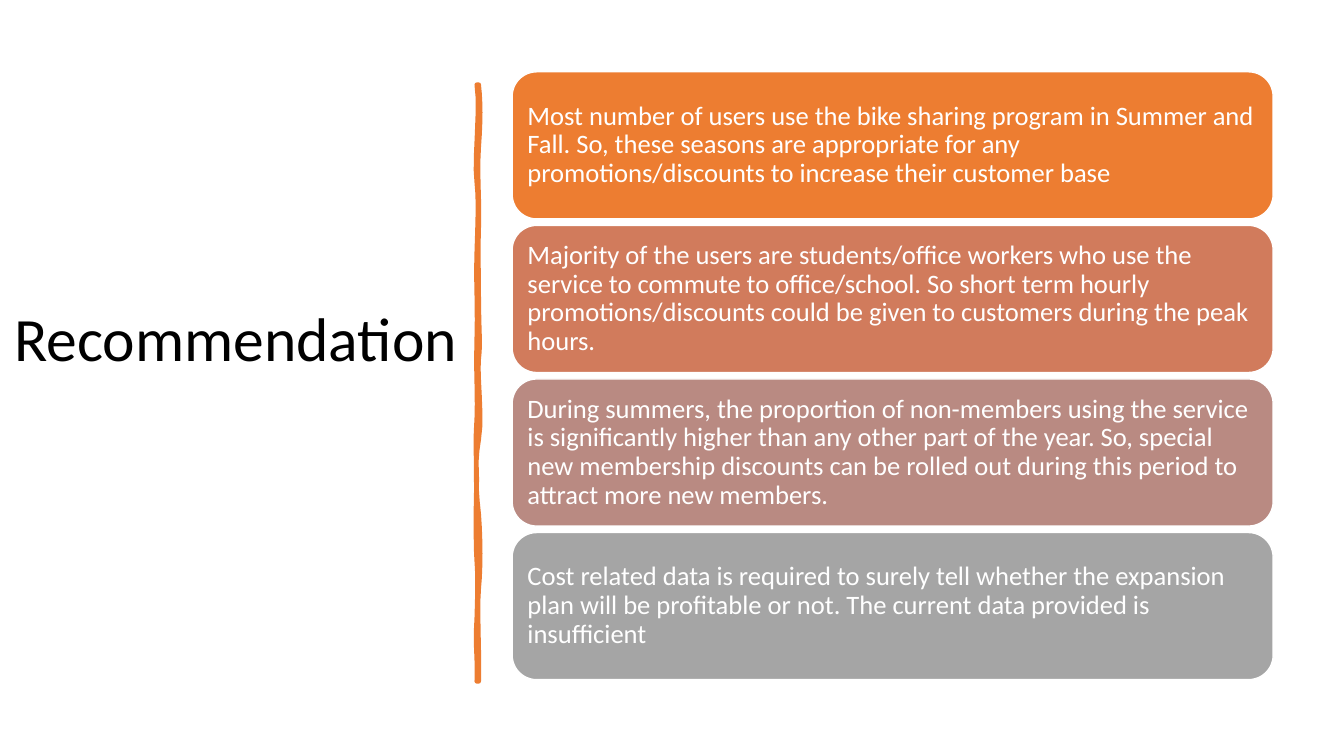
from lxml.etree import SubElement
from pptx import Presentation
from pptx.dml.color import RGBColor as Color
from pptx.enum.shapes import MSO_SHAPE as Shape
from pptx.enum.text import MSO_ANCHOR as Anchor, PP_ALIGN as Align
from pptx.oxml.ns import qn
from pptx.util import Pt

COLORS = {
    "orange": "ED7D31", "clay": "D17B5C", "rose": "B98A82",
    "gray": "A5A5A5", "white": "FFFFFF", "black": "000000",
}
CARDS = [
    ("orange", "Most number of users use the bike sharing program in Summer and Fall. "
     "So, these seasons are appropriate for any promotions/discounts to increase "
     "their customer base"),
    ("clay", "Majority of the users are students/office workers who use the service to "
     "commute to office/school. So short term hourly promotions/discounts could be "
     "given to customers during the peak hours."),
    ("rose", "During summers, the proportion of non-members using the service is "
     "significantly higher than any other part of the year. So, special new membership "
     "discounts can be rolled out during this period to attract more new members."),
    ("gray", "Cost related data is required to surely tell whether the expansion plan "
     "will be profitable or not. The current data provided is insufficient"),
]
CARD_LEFT, CARD_TOP, CARD_WIDTH, CARD_HEIGHT, CARD_PITCH = 365.8, 51.3, 543.6, 105.1, 109.7

BRUSH_UNIT = 0.01
BRUSH_STEPS = 6
BRUSH_RIGHT = [
    (342, 60.5), (343.4, 73.4), (343.4, 85.7), (342, 105.1),
    (340.6, 124.6), (342.7, 140.4), (342, 162.7),
    (341.3, 185), (342, 188.6), (342, 211.7),
    (342, 234), (343.4, 246.2), (342, 256.3),
    (340.6, 266.4), (344.9, 298.1), (342, 313.9),
    (339.1, 329), (339.8, 348.5), (342, 367.2),
    (343.4, 385.9), (343.4, 406.1), (342, 420.5),
    (340.6, 434.2), (342.7, 468), (342, 486.7),
]
BRUSH_LEFT = [
    (340.6, 486.7), (341.3, 465.1), (339.1, 463.7), (340.6, 441.4),
    (341.3, 419.8), (341.3, 410.4), (340.6, 401),
    (339.8, 391.7), (339.8, 356.4), (340.6, 343.4),
    (340.6, 330.5), (339.1, 320.4), (340.6, 298.8),
    (341.3, 277.9), (339.8, 268.6), (340.6, 241.2),
    (341.3, 214.6), (339.8, 202.3), (340.6, 180),
    (341.3, 157), (342, 144), (340.6, 130.3),
    (338.4, 117.4), (343.4, 74.9), (340.6, 60.5),
]


def rgb(name):
    """Return the named colour."""
    return Color.from_string(COLORS[name])


def write_text(shape, text, *, size, color, insets, after):
    """Fill a shape with one left-aligned, vertically centred paragraph."""
    frame = shape.text_frame
    frame.word_wrap = True
    frame.vertical_anchor = Anchor.MIDDLE
    (frame.margin_left, frame.margin_top,
     frame.margin_right, frame.margin_bottom) = map(Pt, insets)
    para = frame.paragraphs[0]
    para.alignment = Align.LEFT
    para.line_spacing = 0.9
    para.space_after = Pt(after)
    span = para.add_run()
    span.text = text
    span.font.name = "Calibri"
    span.font.size = Pt(size)
    span.font.color.rgb = rgb(color)


def paint(shape, fill, line, width):
    """Give a shape a flat fill and outline."""
    shape.shadow.inherit = False
    shape.fill.solid()
    shape.fill.fore_color.rgb = rgb(fill)
    shape.line.color.rgb = rgb(line)
    shape.line.width = Pt(width)


def add_title(page, text):
    """Add the slide title on the left."""
    box = page.shapes.add_textbox(Pt(3.2), Pt(50.4), Pt(336.2), Pt(440))
    write_text(box, text, size=44, color="black", insets=(7.2, 3.6, 7.2, 56), after=6)


def add_card(page, index, color, text):
    """Add one recommendation card to the column."""
    card = page.shapes.add_shape(
        Shape.ROUNDED_RECTANGLE, Pt(CARD_LEFT), Pt(CARD_TOP + index * CARD_PITCH),
        Pt(CARD_WIDTH), Pt(CARD_HEIGHT))
    paint(card, color, "white", 1)
    write_text(card, text, size=19, color="white", insets=(5.8,) * 4, after=0)


def trace_edge(knots):
    """Sample a chain of cubic curves into outline points."""
    points = [knots[0]]
    for start in range(0, len(knots) - 1, 3):
        curve = knots[start:start + 4]
        for step in range(1, BRUSH_STEPS + 1):
            t = step / BRUSH_STEPS
            weights = ((1 - t) ** 3, 3 * t * (1 - t) ** 2, 3 * t * t * (1 - t), t ** 3)
            points.append(tuple(
                sum(w * knot[axis] for w, knot in zip(weights, curve)) for axis in (0, 1)))
    return points


def add_brush_stroke(page):
    """Add the hand-drawn vertical divider."""
    outline = [(x / BRUSH_UNIT, y / BRUSH_UNIT)
               for x, y in trace_edge(BRUSH_RIGHT) + trace_edge(BRUSH_LEFT)]
    builder = page.shapes.build_freeform(*outline[0], scale=Pt(BRUSH_UNIT))
    builder.add_line_segments(outline[1:], close=True)
    stroke = builder.convert_to_shape()
    paint(stroke, "orange", "orange", 3.25)
    SubElement(stroke.element.spPr.find(qn("a:ln")), qn("a:round"))


def main():
    """Build the recommendation slide."""
    deck = Presentation()
    deck.slide_width, deck.slide_height = Pt(960), Pt(540)
    page = deck.slides.add_slide(deck.slide_layouts[6])
    add_title(page, "Recommendation")
    add_brush_stroke(page)
    for index, (color, text) in enumerate(CARDS):
        add_card(page, index, color, text)
    deck.save("out.pptx")


if __name__ == "__main__":
    main()
